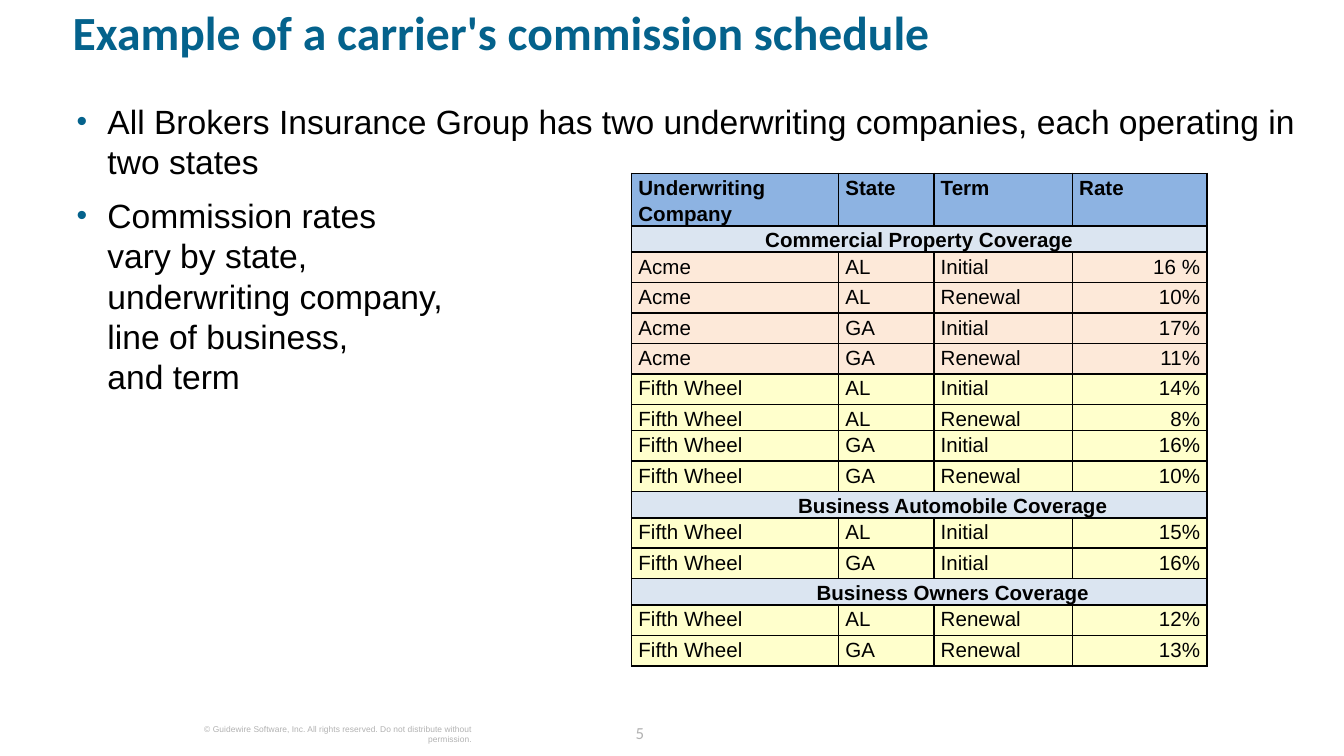
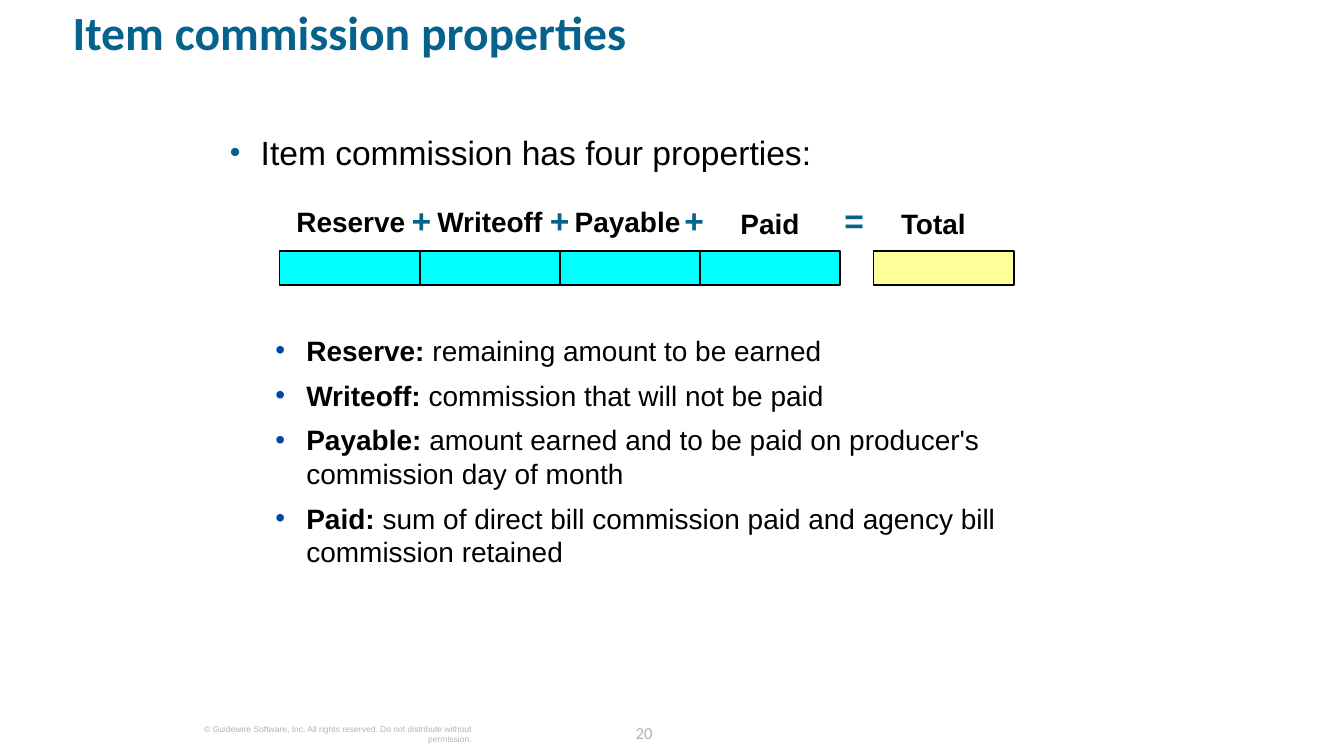
from lxml.etree import SubElement
from pptx import Presentation
from pptx.dml.color import RGBColor
from pptx.enum.shapes import MSO_SHAPE
from pptx.enum.text import MSO_ANCHOR, MSO_AUTO_SIZE, PP_ALIGN
from pptx.oxml import parse_xml
from pptx.oxml.ns import nsdecls, qn
from pptx.util import Inches, Pt

BLUE = RGBColor(0x04, 0x62, 0x8C)
BULLET_BLUE = RGBColor(0x01, 0x46, 0xAD)
GRAY = RGBColor(0xB2, 0xB2, 0xB2)
BLACK = RGBColor(0x00, 0x00, 0x00)
CYAN = RGBColor(0x00, 0xFF, 0xFF)
YELLOW = RGBColor(0xFF, 0xFF, 0x99)
HEADER_FILL = RGBColor(0x8D, 0xB3, 0xE2)
COVERAGE_FILL = RGBColor(0xDB, 0xE5, 0xF1)
COMPANY_FILLS = {
    "Acme": RGBColor(0xFD, 0xE9, 0xD9),
    "Fifth Wheel": RGBColor(0xFF, 0xFF, 0xCC),
}

COPYRIGHT = "© Guidewire Software, Inc. All rights reserved. Do not distribute without permission."

# Each bullet is a bold lead and the text after it.
SCHEDULE_BULLETS = [
    ("", "All Brokers Insurance Group has two underwriting companies, each operating in two states"),
    ("", "Commission rates \nvary by state, \nunderwriting company, \nline of business, \nand term"),
]
PROPERTY_INTRO = [("", "Item commission has four properties:")]
PROPERTY_BULLETS = [
    ("Reserve:", " remaining amount to be earned"),
    ("Writeoff:", " commission that will not be paid"),
    ("Payable:", " amount earned and to be paid on producer's commission day of month"),
    ("Paid:", " sum of direct bill commission paid and agency bill commission retained"),
]

# A row with one entry is a coverage heading.
SCHEDULE = [
    ("Underwriting Company", "State", "Term", "Rate"),
    ("Commercial Property Coverage",),
    ("Acme", "AL", "Initial", "16 %"),
    ("Acme", "AL", "Renewal", "10%"),
    ("Acme", "GA", "Initial", "17%"),
    ("Acme", "GA", "Renewal", "11%"),
    ("Fifth Wheel", "AL", "Initial", "14%"),
    ("Fifth Wheel", "AL", "Renewal", "8%"),
    ("Fifth Wheel", "GA", "Initial", "16%"),
    ("Fifth Wheel", "GA", "Renewal", "10%"),
    ("Business Automobile Coverage",),
    ("Fifth Wheel", "AL", "Initial", "15%"),
    ("Fifth Wheel", "GA", "Initial", "16%"),
    ("Business Owners Coverage",),
    ("Fifth Wheel", "AL", "Renewal", "12%"),
    ("Fifth Wheel", "GA", "Renewal", "13%"),
]
SCHEDULE_BOX = (4.7, 1.29, 4.28, 3.69)
COLUMN_WIDTHS = (1.54, 0.71, 1.03, 1)
ROW_HEIGHT, SHORT_ROW_HEIGHT = Pt(16.3), Pt(8)
SHORT_ROWS = (1, 7, 10, 13)
INDENTED_COVERAGE_ROWS = (10, 13)

# Text, left, top, width
LABELS = [
    ("Reserve", 2.2, 1.52, 0.82),
    ("Writeoff", 3.25, 1.52, 0.79),
    ("Payable", 4.27, 1.52, 0.8),
    ("Paid", 5.51, 1.54, 0.44),
    ("Total", 6.7, 1.54, 0.49),
]
OPERATORS = [("+", 3.06), ("+", 4.09), ("+", 5.09), ("=", 6.28)]
BAR_COUNT, BAR_LEFT, BAR_RIGHT = 4, 2.08, 6.25
BAR_WIDTH = (BAR_RIGHT - BAR_LEFT) / BAR_COUNT
BAR_TOP, BAR_HEIGHT, TOTAL_LEFT = 1.87, 0.25, 6.5


def format_runs(runs, size, color, bold=False, font="Arial"):
    for run in runs:
        run.font.name = font
        run.font.size = Pt(size)
        run.font.bold = bold
        run.font.color.rgb = color


def prepare_frame(text_frame, wrap=True):
    text_frame.margin_left = text_frame.margin_right = 0
    text_frame.margin_top = text_frame.margin_bottom = 0
    text_frame.vertical_anchor = MSO_ANCHOR.TOP
    text_frame.auto_size = MSO_AUTO_SIZE.NONE
    text_frame.word_wrap = wrap


def add_text(slide, text, box, size, color, bold=False, align=PP_ALIGN.LEFT,
             font="Arial", wrap=True):
    text_box = slide.shapes.add_textbox(*map(Inches, box))
    prepare_frame(text_box.text_frame, wrap)
    paragraph = text_box.text_frame.paragraphs[0]
    paragraph.text = text
    paragraph.alignment = align
    format_runs(paragraph.runs, size, color, bold, font)
    return paragraph


def set_bullet(paragraph, color, percent):
    properties = paragraph._p.get_or_add_pPr()
    properties.set("marL", str(Inches(0.23)))
    properties.set("indent", str(-Inches(0.23)))
    bullet_color = SubElement(properties, qn("a:buClr"))
    SubElement(bullet_color, qn("a:srgbClr"), val=str(color))
    SubElement(properties, qn("a:buSzPct"), val=str(percent * 1000))
    SubElement(properties, qn("a:buFont"), typeface="Arial")
    SubElement(properties, qn("a:buChar"), char="•")


def add_bullets(slide, bullets, box, size, bullet_color=BLUE, bullet_percent=90):
    text_frame = slide.shapes.add_textbox(*map(Inches, box)).text_frame
    prepare_frame(text_frame)
    for index, (lead, text) in enumerate(bullets):
        paragraph = text_frame.add_paragraph() if index else text_frame.paragraphs[0]
        set_bullet(paragraph, bullet_color, bullet_percent)
        paragraph.text = lead or text
        if index:
            paragraph.space_before = Pt(0.4 * size)
        format_runs(paragraph.runs, size, BLACK, bool(lead))
        if lead:
            run = paragraph.add_run()
            run.text = text
            format_runs([run], size, BLACK)


def add_slide(presentation, title, number):
    """Add a slide with the shared title, page number and copyright line."""
    slide = presentation.slides.add_slide(presentation.slide_layouts[5])
    shape = slide.shapes.title
    shape.left, shape.top, shape.width, shape.height = map(Inches, (0.54, 0.1, 9.1, 0.61))
    prepare_frame(shape.text_frame)
    paragraph = shape.text_frame.paragraphs[0]
    paragraph.text = title
    paragraph.alignment = PP_ALIGN.LEFT
    paragraph.line_spacing = 0.8
    format_runs(paragraph.runs, 25.5, BLUE, True, "Calibri")

    page = add_text(slide, str(number), (4.73, 5.34, 0.57, 0.19), 9, GRAY, font="Calibri")
    page.line_spacing = Pt(13.5)
    add_text(slide, COPYRIGHT, (1.18, 5.39, 2.33, 0.08), 4.5, GRAY, align=PP_ALIGN.RIGHT)
    return slide


def set_borders(cell):
    properties = cell._tc.get_or_add_tcPr()
    for index, side in enumerate(("lnL", "lnR", "lnT", "lnB")):
        properties.insert(index, parse_xml(
            f'<a:{side} {nsdecls("a")} w="{Pt(1)}"><a:solidFill>'
            f'<a:srgbClr val="{BLACK}"/></a:solidFill></a:{side}>'))


def format_cell(cell, fill, bold, align, indent=0):
    cell.margin_left = cell.margin_right = Inches(0.05)
    cell.margin_top = cell.margin_bottom = 0
    cell.fill.solid()
    cell.fill.fore_color.rgb = fill
    set_borders(cell)
    paragraph = cell.text_frame.paragraphs[0]
    paragraph.alignment = align
    paragraph.line_spacing = 1.15
    if indent:
        paragraph._p.get_or_add_pPr().set("marL", str(Inches(indent)))
    format_runs(paragraph.runs, 11, BLACK, bold)


def add_schedule(slide):
    box = [Inches(length) for length in SCHEDULE_BOX]
    frame = slide.shapes.add_table(len(SCHEDULE), len(COLUMN_WIDTHS), *box)
    table = frame.table
    table.first_row = table.horz_banding = False
    for column, width in zip(table.columns, COLUMN_WIDTHS):
        column.width = Inches(width)

    for row_index, values in enumerate(SCHEDULE):
        table.rows[row_index].height = SHORT_ROW_HEIGHT if row_index in SHORT_ROWS else ROW_HEIGHT
        is_header, is_coverage = row_index == 0, len(values) == 1
        if is_coverage:
            table.cell(row_index, 0).merge(table.cell(row_index, len(COLUMN_WIDTHS) - 1))
            fill = COVERAGE_FILL
        else:
            fill = HEADER_FILL if is_header else COMPANY_FILLS[values[0]]

        for column_index in range(len(COLUMN_WIDTHS)):
            cell = table.cell(row_index, column_index)
            if column_index < len(values):
                cell.text_frame.text = values[column_index]
            align, indent = PP_ALIGN.LEFT, 0
            if is_coverage:
                align = PP_ALIGN.CENTER
                indent = 0.5 if row_index in INDENTED_COVERAGE_ROWS else 0
            elif column_index == 3 and not is_header:
                align, indent = PP_ALIGN.RIGHT, 0.5
            format_cell(cell, fill, is_header or is_coverage, align, indent)
    frame.height = box[3]


def add_bar(slide, left, fill):
    bar = slide.shapes.add_shape(
        MSO_SHAPE.RECTANGLE, *map(Inches, (left, BAR_TOP, BAR_WIDTH, BAR_HEIGHT)))
    bar.shadow.inherit = False
    bar.fill.solid()
    bar.fill.fore_color.rgb = fill
    bar.line.color.rgb = BLACK
    bar.line.width = Pt(1)


def build_schedule_slide(presentation):
    slide = add_slide(presentation, "Example of a carrier's commission schedule", 5)
    add_bullets(slide, SCHEDULE_BULLETS, (0.57, 0.75, 9.1, 4.5), 18)
    add_schedule(slide)


def build_properties_slide(presentation):
    slide = add_slide(presentation, "Item commission properties", 20)
    add_bullets(slide, PROPERTY_INTRO, (1.71, 0.98, 6.82, 4.26), 18)
    for index in range(BAR_COUNT):
        add_bar(slide, BAR_LEFT + index * BAR_WIDTH, CYAN)
    add_bar(slide, TOTAL_LEFT, YELLOW)
    for text, left, top, width in LABELS:
        add_text(slide, text, (left, top, width, 0.25), 15, BLACK, True,
                 PP_ALIGN.CENTER, wrap=False)
    for text, left in OPERATORS:
        add_text(slide, text, (left, 1.49, 0.15, 0.3), 18, BLUE, True,
                 PP_ALIGN.CENTER, wrap=False)
    add_bullets(slide, PROPERTY_BULLETS, (2.05, 2.48, 5.74, 2.12), 15, BULLET_BLUE, 100)


def main():
    presentation = Presentation()
    presentation.slide_width = Inches(10)
    presentation.slide_height = Inches(10) * 9 // 16
    build_schedule_slide(presentation)
    build_properties_slide(presentation)
    presentation.save("out.pptx")


if __name__ == "__main__":
    main()
